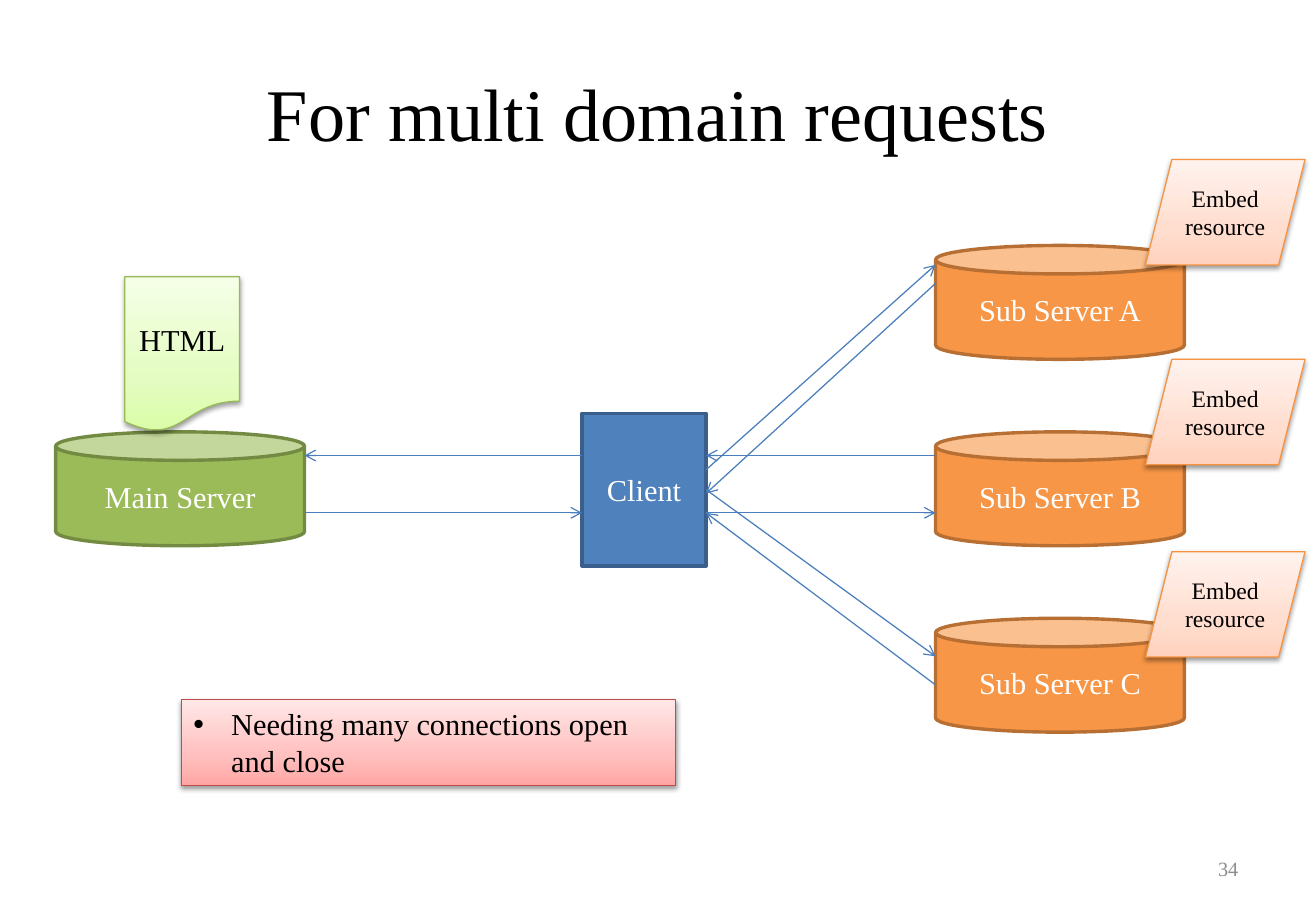
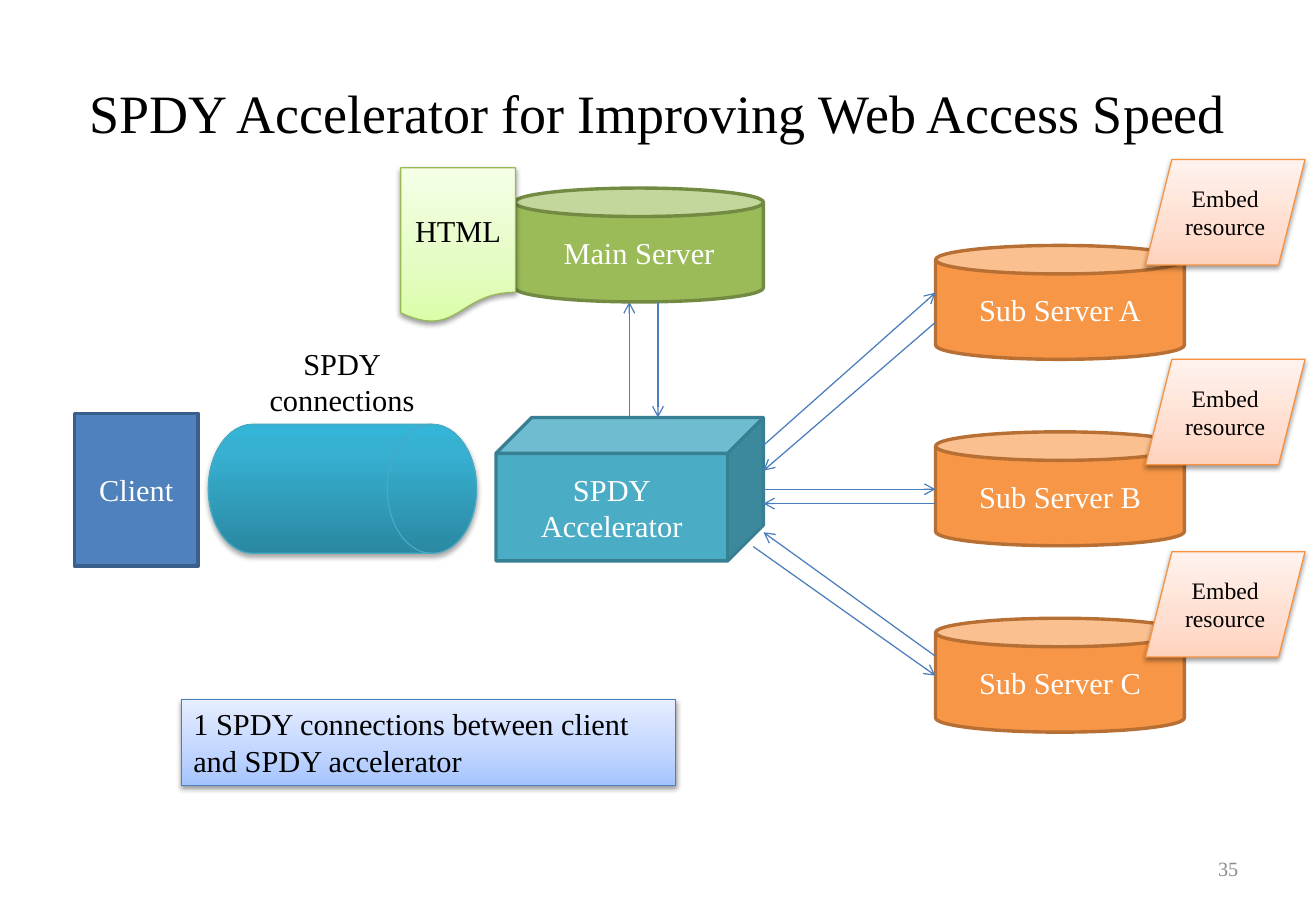
from lxml import etree
from pptx import Presentation
from pptx import util as u
from pptx.dml import color
from pptx.enum import shapes, text
from pptx.oxml import ns

FONT = "Times New Roman"
BLACK, WHITE, GRAY = "000000", "FFFFFF", "8C8C8C"
LINK = "4B7EBC"
BLUE = ("4F81BD", "3A5F8C")
GREEN = ("9BBB59", "738A42")
ORANGE = ("F79646", "B76F34")
TEAL = ("4BACC6", "377F92")
PALE_GREEN = ([(0, "DAFDA7"), (35, "E4FCC2"), (100, "F5FFE7")], "98B955")
PALE_ORANGE = ([(0, "FFD2BD"), (35, "FFDED0"), (100, "FFF2ED")], "F69240")
PALE_RED = ([(0, "FFA6A5"), (35, "FFC0BF"), (100, "FFE7E7")], "BF4C48")
PALE_BLUE = ([(0, "A4C4FF"), (35, "BFD4FF"), (100, "E6EEFF")], LINK)
DRUM_TEAL = ([(0, "2A88A2"), (80, "37B1D2"), (100, "34B4D6")], "46AAC5")

KIND = shapes.MSO_SHAPE
ALIGN = text.PP_ALIGN
ANCHOR = text.MSO_ANCHOR
SERVER_SIZE = (147.5, 67.5)
SERVER_PITCH = 110.5
SUB_SERVERS = (("A", -51), ("B", -43), ("C", -39.5))
SUB_LEFT, SUB_TOP = 554.5, 145.5


def rgb(value):
    """Turn a hex string into a colour."""
    return color.RGBColor.from_string(value)


def points(*values):
    """Turn numbers of points into lengths."""
    return [u.Pt(value) for value in values]


def add_xml(parent, tag, **attributes):
    """Append a drawing element and return it."""
    names = {name: str(value) for name, value in attributes.items()}
    return etree.SubElement(parent, ns.qn("a:" + tag), names)


def write(shape, content, size=18, ink=BLACK, align=ALIGN.CENTER,
          anchor=ANCHOR.MIDDLE, wrap=True, bullet=False):
    """Fill a shape with text, one paragraph for each line."""
    frame = shape.text_frame
    frame.text = content
    frame.word_wrap = wrap
    frame.vertical_anchor = anchor
    for paragraph in frame.paragraphs:
        paragraph.alignment = align
        if bullet:
            properties = paragraph._p.get_or_add_pPr()
            properties.set("marL", str(u.Pt(22.5)))
            properties.set("indent", str(u.Pt(-22.5)))
            add_xml(properties, "buFont", typeface="Arial")
            add_xml(properties, "buChar", char="•")
        paragraph.font.name = FONT
        paragraph.font.size = u.Pt(size)
        paragraph.font.color.rgb = rgb(ink)


def add_text(slide, box, content, **style):
    """Add a text box."""
    write(slide.shapes.add_textbox(*points(*box)), content, **style)


def add_solid(slide, kind, box, colors, label):
    """Add a flat shape with a strong outline and a white label."""
    fill, outline = colors
    shape = slide.shapes.add_shape(kind, *points(*box))
    shape.shadow.inherit = False
    shape.fill.solid()
    shape.fill.fore_color.rgb = rgb(fill)
    shape.line.color.rgb = rgb(outline)
    shape.line.width = u.Pt(2)
    write(shape, label, ink=WHITE)
    return shape


def add_shaded(slide, kind, box, colors, opacity=38, distance=1.6):
    """Add a shape with a bottom-to-top gradient and a soft shadow."""
    stops, outline = colors
    shape = slide.shapes.add_shape(kind, *points(*box))
    shape.line.color.rgb = rgb(outline)
    shape.line.width = u.Pt(0.75)
    shape.fill.gradient()
    shape.fill.gradient_angle = 90
    stop_list = shape.element.spPr.find(".//" + ns.qn("a:gsLst"))
    for stop in list(stop_list):
        stop_list.remove(stop)
    for position, value in stops:
        stop = add_xml(stop_list, "gs", pos=position * 1000)
        add_xml(stop, "srgbClr", val=value)
    shape.shadow.inherit = False
    effects = shape.element.spPr.find(ns.qn("a:effectLst"))
    shadow = add_xml(effects, "outerShdw", blurRad=u.Pt(3.1), dist=u.Pt(distance),
                     dir=5400000, rotWithShape=0)
    add_xml(add_xml(shadow, "srgbClr", val=BLACK), "alpha", val=opacity * 1000)
    return shape


def add_arrow(slide, start, end):
    """Draw a thin arrow from start to end."""
    arrow = slide.shapes.add_connector(
        shapes.MSO_CONNECTOR.STRAIGHT, *points(*start, *end))
    arrow.line.color.rgb = rgb(LINK)
    arrow.line.width = u.Pt(0.75)
    add_xml(arrow.line._get_or_add_ln(), "tailEnd", type="arrow")
    add_xml(arrow.element.spPr, "effectLst")
    return arrow


def add_exchange(slide, left, right, requests, replies):
    """Draw arrows rightward for requests and leftward for replies."""
    for left_y, right_y in requests:
        add_arrow(slide, (left, left_y), (right, right_y))
    for left_y, right_y in replies:
        add_arrow(slide, (right, right_y), (left, left_y))


def add_client(slide, left):
    """Add the client box."""
    return add_solid(slide, KIND.RECTANGLE, (left, 245, 73.5, 90.5), BLUE, "Client")


def add_main_server(slide, left, top, page_dx, page_dy):
    """Add the main server and its HTML page, offset from the server."""
    add_solid(slide, KIND.CAN, (left, top, *SERVER_SIZE), GREEN, "Main Server")
    page = add_shaded(slide, KIND.FLOWCHART_DOCUMENT,
                      (left + page_dx, top + page_dy, 68, 92), PALE_GREEN)
    write(page, "HTML")


def add_sub_servers(slide, left, top):
    """Add the column of sub servers with their resources."""
    for row, (letter, tag_dy) in enumerate(SUB_SERVERS):
        server_top = top + row * SERVER_PITCH
        add_solid(slide, KIND.CAN, (left, server_top, *SERVER_SIZE), ORANGE,
                  f"Sub Server {letter}")
        tag = add_shaded(slide, KIND.PARALLELOGRAM,
                         (left + 124.5, server_top + tag_dy, 94.5, 62.5), PALE_ORANGE)
        write(tag, "Embed\nresource", size=14)


def add_note(slide, content, colors, bullet=False):
    """Add the shaded remark below the diagram."""
    note = add_shaded(slide, KIND.RECTANGLE, (107.5, 414.5, 293, 51), colors)
    write(note, content, align=ALIGN.LEFT, anchor=ANCHOR.TOP, bullet=bullet)


def start_slide(presentation, title, size, number):
    """Add a slide with its title and number."""
    slide = presentation.slides.add_slide(presentation.slide_layouts[5])
    heading = slide.shapes.title
    heading.left, heading.top, heading.width, heading.height = points(39, 21.5, 702, 90)
    write(heading, title, size=size)
    add_text(slide, (559, 500.5, 182, 28.5), str(number), size=12, ink=GRAY,
             align=ALIGN.RIGHT)
    return slide


def build_multi_domain(presentation):
    """Build the slide on requests to several domains."""
    slide = start_slide(presentation, "For multi domain requests", 44, 34)
    client = add_client(slide, 345)
    add_sub_servers(slide, SUB_LEFT, SUB_TOP)
    add_main_server(slide, 33, 256, 41, -92)
    add_exchange(slide, 180.5, 345, [(304, 304)], [(270, 270)])
    add_exchange(slide, 418.5, SUB_LEFT,
                 [(278.5, 157), (304, 304)],
                 [(292.5, 168), (270, 270), (304, 406)])
    add_arrow(slide, (418.5, 290), (SUB_LEFT, 389)).begin_connect(client, 3)
    add_note(slide, "Needing many connections open and close", PALE_RED, bullet=True)


def build_accelerator(presentation):
    """Build the slide on the accelerator."""
    slide = start_slide(
        presentation, "SPDY Accelerator for Improving Web Access Speed", 32, 35)
    add_client(slide, 44)
    add_main_server(slide, 305, 111.5, -67.5, -12)
    add_solid(slide, KIND.CUBE, (294, 247.5, 158.5, 85), TEAL, "SPDY\nAccelerator")
    add_sub_servers(slide, SUB_LEFT, SUB_TOP)
    add_shaded(slide, KIND.FLOWCHART_DIRECT_ACCESS_STORAGE, (123.5, 251.5, 159, 76.5),
               DRUM_TEAL, opacity=35, distance=1.8)
    add_arrow(slide, (390, 179), (390, 247.5))
    add_arrow(slide, (373, 247.5), (373, 179))
    add_exchange(slide, 452.5, SUB_LEFT,
                 [(264, 173.5), (290, 290)],
                 [(279, 191), (298.5, 298.5), (315.5, 389)])
    add_arrow(slide, (446.5, 324), (SUB_LEFT, 400.5))
    add_text(slide, (152, 201, 101.5, 51), "SPDY\nconnections",
             anchor=ANCHOR.TOP, wrap=False)
    add_note(slide, "1 SPDY connections between client and SPDY accelerator", PALE_BLUE)


def main():
    """Build and save the presentation."""
    presentation = Presentation()
    presentation.slide_width, presentation.slide_height = points(780, 540)
    build_multi_domain(presentation)
    build_accelerator(presentation)
    presentation.save("out.pptx")


if __name__ == "__main__":
    main()
